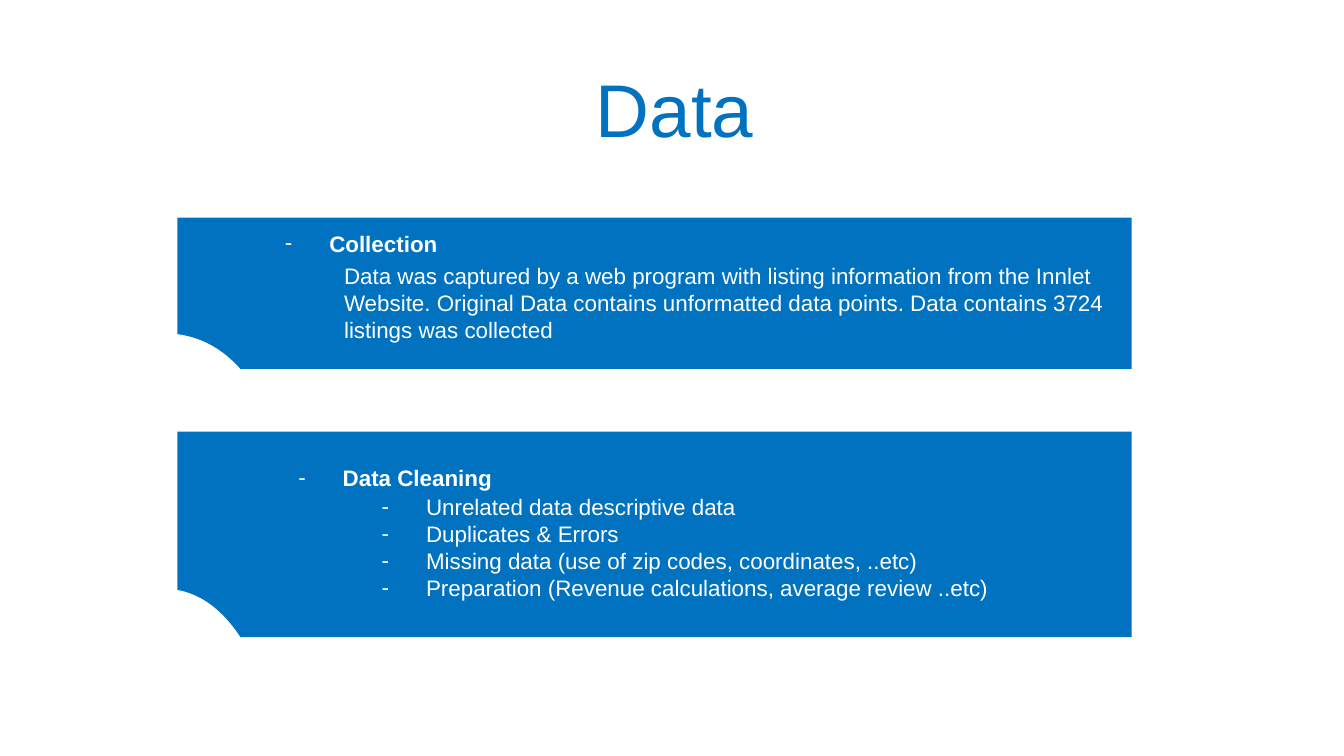
from lxml.etree import SubElement
from pptx import Presentation
from pptx.dml.color import RGBColor
from pptx.enum.text import MSO_ANCHOR, MSO_AUTO_SIZE, PP_ALIGN
from pptx.oxml.ns import qn
from pptx.util import Inches, Pt

WIDE = 10
HIGH = WIDE * 9 / 16
LEFT, SPAN = 0.132, 0.71   # band edge and width as shares of the slide
BLUE, WHITE = "0072C0", "FFFFFF"
STEPS = 16

# Notch curve: x in inches from the band's left, y as a share of its height
NOTCH = [(0.47, 1), (0.34, 0.87), (0.18, 0.79), (0, 0.77)]

TITLE = {"size": Pt(40), "bold": False}
HEAD = {"size": Pt(12), "bold": True}
BODY = {"size": Pt(12), "bold": False}

COLLECT = ["Data was captured by a web program with listing information "
           "from the Innlet Website. Original Data contains unformatted "
           "data points. Data contains 3724 listings was collected"]
CLEAN = ["Unrelated data descriptive data",
         "Duplicates & Errors",
         "Missing data (use of zip codes, coordinates, ..etc)",
         "Preparation (Revenue calculations, average review ..etc)"]


def color(code):
    return RGBColor.from_string(code)


def place(shape, left, top, width, height):
    """Set the box from shares of the slide's size."""
    box = {"left": left * WIDE, "top": top * HIGH,
           "width": width * WIDE, "height": height * HIGH}
    for name, value in box.items():
        setattr(shape, name, Inches(value))


def curve(step):
    """Point on the cubic notch curve."""
    t = step / STEPS
    parts = ((1 - t) ** 3, 3 * t * (1 - t) ** 2, 3 * t * t * (1 - t), t ** 3)
    return [sum(w * p[axis] for w, p in zip(parts, NOTCH)) for axis in (0, 1)]


def band(slide, top, height):
    """Blue band with a round notch, kept behind the text."""
    x, y = LEFT * WIDE, top * HIGH
    right, deep = x + SPAN * WIDE, height * HIGH
    arc = [curve(step) for step in range(STEPS + 1)]
    points = [(right, y), (right, y + deep)]
    points += [(x + dx, y + dy * deep) for dx, dy in arc]
    pen = slide.shapes.build_freeform(Inches(x), Inches(y))
    pen.add_line_segments([(Inches(a), Inches(b)) for a, b in points])
    shape = pen.convert_to_shape()
    shape.shadow.inherit = False
    shape.fill.solid()
    shape.fill.fore_color.rgb = color(BLUE)
    shape.line.fill.background()
    slide.shapes.title.element.addprevious(shape.element)


def bullet(para, dash):
    """Give the paragraph a hanging dash, or no bullet at all."""
    props = para._p.get_or_add_pPr()
    props.set("marL", str(Inches(0.5 if dash else 0)))
    props.set("indent", str(Inches(-0.33 if dash else 0)))
    if dash:
        SubElement(props, qn("a:buFont"), typeface="Arial")
        SubElement(props, qn("a:buChar"), char="-")
    else:
        SubElement(props, qn("a:buNone"))


def write(shape, box, lines, style, ink=WHITE, dash=True, inset=0.05,
          anchor=MSO_ANCHOR.TOP, align=PP_ALIGN.LEFT):
    """Fill a placeholder with formatted paragraphs."""
    place(shape, *box)
    frame = shape.text_frame
    look = {"word_wrap": True, "auto_size": MSO_AUTO_SIZE.NONE,
            "vertical_anchor": anchor,
            "margin_left": Inches(0.1), "margin_right": Inches(0.1),
            "margin_top": Inches(inset), "margin_bottom": Inches(inset)}
    for name, value in look.items():
        setattr(frame, name, value)
    frame.text = "\n".join(lines)
    flow = {"alignment": align, "line_spacing": 1.0,
            "space_before": Pt(0), "space_after": Pt(0)}
    for para in frame.paragraphs:
        for name, value in flow.items():
            setattr(para, name, value)
        bullet(para, dash)
        font = para.runs[0].font
        for name, value in {"name": "Arial", **style}.items():
            setattr(font, name, value)
        font.color.rgb = color(ink)


def main():
    deck = Presentation()
    deck.slide_width, deck.slide_height = Inches(WIDE), Inches(HIGH)
    # Comparison layout: a title and two pairs of heading and body
    slide = deck.slides.add_slide(deck.slide_layouts[4])
    title, head, body, head2, body2 = list(slide.placeholders)[:5]

    # Bands
    band(slide, 0.288, 0.2)
    band(slide, 0.571, 0.272)

    # Title
    write(title, (0, 0.081, 1.004, 0.123), ["Data"], TITLE, ink=BLUE,
          dash=False, inset=0.1, anchor=MSO_ANCHOR.MIDDLE,
          align=PP_ALIGN.CENTER)

    # Collection
    write(head, (0.185, 0.295, 0.647, 0.053), ["Collection"], HEAD)
    write(body, (0.246, 0.338, 0.586, 0.089), COLLECT, BODY, dash=False)

    # Data cleaning
    write(head2, (0.195, 0.605, 0.647, 0.053), ["Data Cleaning"], HEAD)
    write(body2, (0.257, 0.644, 0.586, 0.089), CLEAN, BODY)

    deck.save("out.pptx")


if __name__ == "__main__":
    main()
